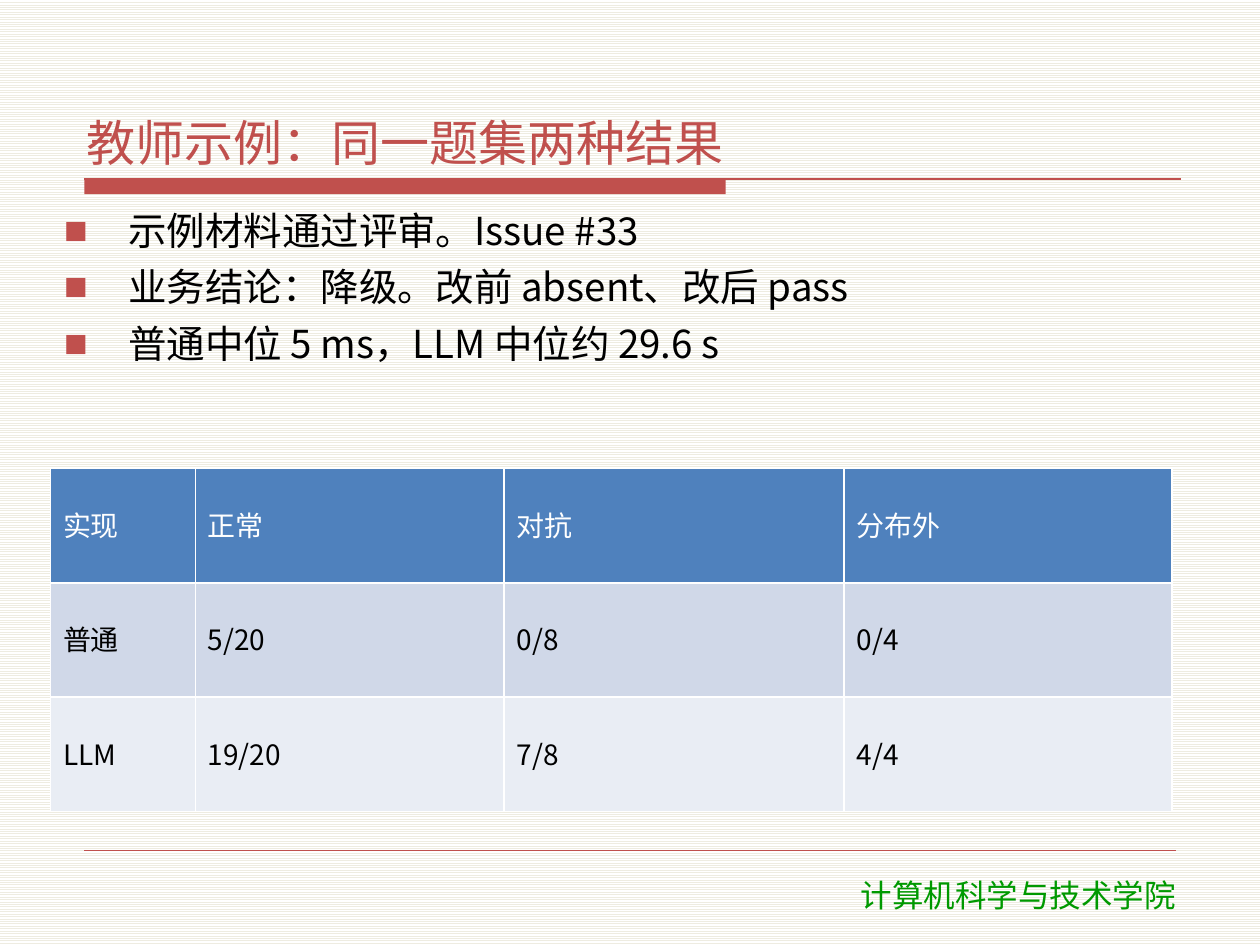
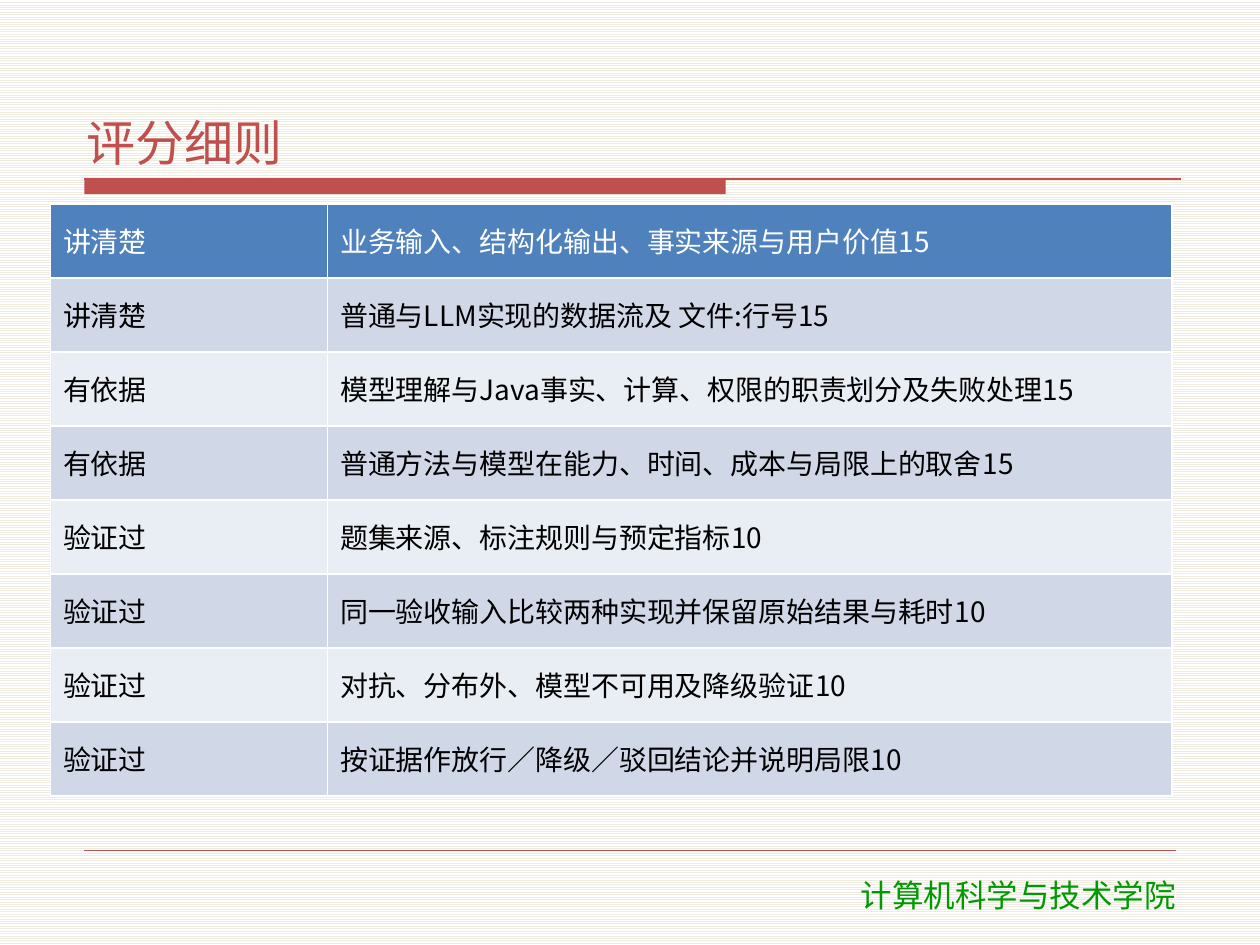
from dataclasses import dataclass

from lxml import etree
from pptx import Presentation
from pptx import util as u
from pptx.dml.color import RGBColor
from pptx.enum import dml, shapes, text
from pptx.oxml.ns import qn

SCALE = 9144  # EMU in one px, 100 px to the inch


@dataclass(frozen=True)
class Theme:
    red: str = "C0504D"
    green: str = "009900"
    blue: str = "4F81BD"
    bands: tuple = ("E9EDF4", "D0D8E8")
    black: str = "000000"
    white: str = "FFFFFF"
    cream: str = "EEECE1"
    font: str = "Noto Sans CJK SC"
    plain: str = "DejaVu Sans"
    title: int = 28
    body: int = 22
    foot: int = 18
    cell: int = 16


T = Theme()


def px(n):
    return u.Emu(round(n * SCALE))


def rgb(code):
    return RGBColor.from_string(code)


def node(parent, tag, **attrs):
    return etree.SubElement(parent, qn(tag), attrs)


# Text
def bullet(para):
    props = para._p.get_or_add_pPr()
    props.set("marL", str(px(51)))
    props.set("indent", str(px(-51)))
    node(node(props, "a:buClr"), "a:srgbClr", val=T.red)
    node(props, "a:buSzPct", val="65000")
    node(props, "a:buFont", typeface=T.plain)
    node(props, "a:buChar", char="■")


def write(frame, words, size, color, font=T.font, align=None, marks=False,
          before=0, after=0, leading=None):
    for i, line in enumerate(words.split("\n")):
        para = frame.add_paragraph() if i else frame.paragraphs[0]
        if marks:
            bullet(para)
        para.alignment = align
        para.line_spacing = leading
        para.space_before = u.Pt(before if i else 0)
        para.space_after = u.Pt(after)
        run = para.add_run()
        run.text = line
        run.font.size = u.Pt(size)
        run.font.name = font
        run.font.color.rgb = rgb(color)
        node(run._r.get_or_add_rPr(), "a:ea", typeface=font)


def box(slide, area, words, size, color, inset=(6, 2),
        anchor=text.MSO_ANCHOR.TOP, **style):
    frame = slide.shapes.add_textbox(*map(px, area)).text_frame
    frame.word_wrap = True
    frame.vertical_anchor = anchor
    frame.margin_left = frame.margin_right = px(inset[0])
    frame.margin_top = frame.margin_bottom = px(inset[1])
    write(frame, words, size, color, **style)


# Bars and rules
def bar(slide, area, color):
    shape = slide.shapes.add_shape(shapes.MSO_SHAPE.RECTANGLE, *map(px, area))
    shape.shadow.inherit = False
    shape.fill.solid()
    shape.fill.fore_color.rgb = rgb(color)
    shape.line.fill.background()


def rule(slide, left, right, top, color, width):
    line = slide.shapes.add_connector(
        shapes.MSO_CONNECTOR.STRAIGHT, px(left), px(top), px(right), px(top))
    line.line.color.rgb = rgb(color)
    line.line.width = u.Pt(width)
    node(line._element.spPr, "a:effectLst")


# Table
def border(cell):
    props = cell._tc.get_or_add_tcPr()
    for i, side in enumerate("LRTB"):
        edge = etree.Element(qn(f"a:ln{side}"), w=str(u.Pt(1)))
        node(node(edge, "a:solidFill"), "a:srgbClr", val=T.white)
        props.insert(i, edge)


def grid(slide, left, top, height, widths, rows):
    table = slide.shapes.add_table(
        len(rows), len(widths), px(left), px(top),
        px(sum(widths)), px(height)).table
    for col, width in zip(table.columns, widths):
        col.width = px(width)
    for i, row in enumerate(rows):
        table.rows[i].height = px(height / len(rows))
        for j, words in enumerate(row):
            cell = table.cell(i, j)
            cell.vertical_anchor = text.MSO_ANCHOR.MIDDLE
            cell.fill.solid()
            cell.fill.fore_color.rgb = rgb(T.bands[i % 2] if i else T.blue)
            border(cell)
            write(cell.text_frame, words, T.cell,
                  T.black if i else T.white, after=2, leading=0.9)


# Shared slide frame
def page(deck, title):
    slide = deck.slides.add_slide(deck.slide_layouts[6])
    fill = slide.background.fill
    fill.patterned()
    fill.pattern = dml.MSO_PATTERN.LIGHT_HORIZONTAL
    fill.fore_color.rgb = rgb(T.cream)
    fill.back_color.rgb = rgb(T.white)
    bar(slide, (67, 142, 509, 12), T.red)
    rule(slide, 67, 937, 142, T.red, 0.75)
    rule(slide, 67, 933, 675, T.red, 0.25)
    box(slide, (607, 690, 402, 40), "计算机科学与技术学院", T.foot, T.green,
        inset=(10, 5), font=T.plain, align=text.PP_ALIGN.CENTER)
    box(slide, (63, 33, 875, 105), title, T.title, T.red,
        anchor=text.MSO_ANCHOR.BOTTOM, after=2)
    return slide


def main():
    deck = Presentation()
    deck.slide_width, deck.slide_height = px(1000), px(750)

    # Results of both versions
    slide = page(deck, "教师示例：同一题集两种结果")
    box(slide, (45, 162, 910, 202),
        "示例材料通过评审。Issue #33\n"
        "业务结论：降级。改前 absent、改后 pass\n"
        "普通中位 5 ms，LLM 中位约 29.6 s",
        T.body, T.black, marks=True, before=4, after=2)
    grid(slide, 40, 372, 272, (115, 245, 270, 260), [
        ("实现", "正常", "对抗", "分布外"),
        ("普通", "5/20", "0/8", "0/4"),
        ("LLM", "19/20", "7/8", "4/4"),
    ])

    # Marking rules
    slide = page(deck, "评分细则")
    grid(slide, 40, 162, 470, (220, 670), [
        ("讲清楚", "业务输入、结构化输出、事实来源与用户价值15"),
        ("讲清楚", "普通与LLM实现的数据流及 文件:行号15"),
        ("有依据", "模型理解与Java事实、计算、权限的职责划分及失败处理15"),
        ("有依据", "普通方法与模型在能力、时间、成本与局限上的取舍15"),
        ("验证过", "题集来源、标注规则与预定指标10"),
        ("验证过", "同一验收输入比较两种实现并保留原始结果与耗时10"),
        ("验证过", "对抗、分布外、模型不可用及降级验证10"),
        ("验证过", "按证据作放行／降级／驳回结论并说明局限10"),
    ])

    deck.save("out.pptx")


if __name__ == "__main__":
    main()
